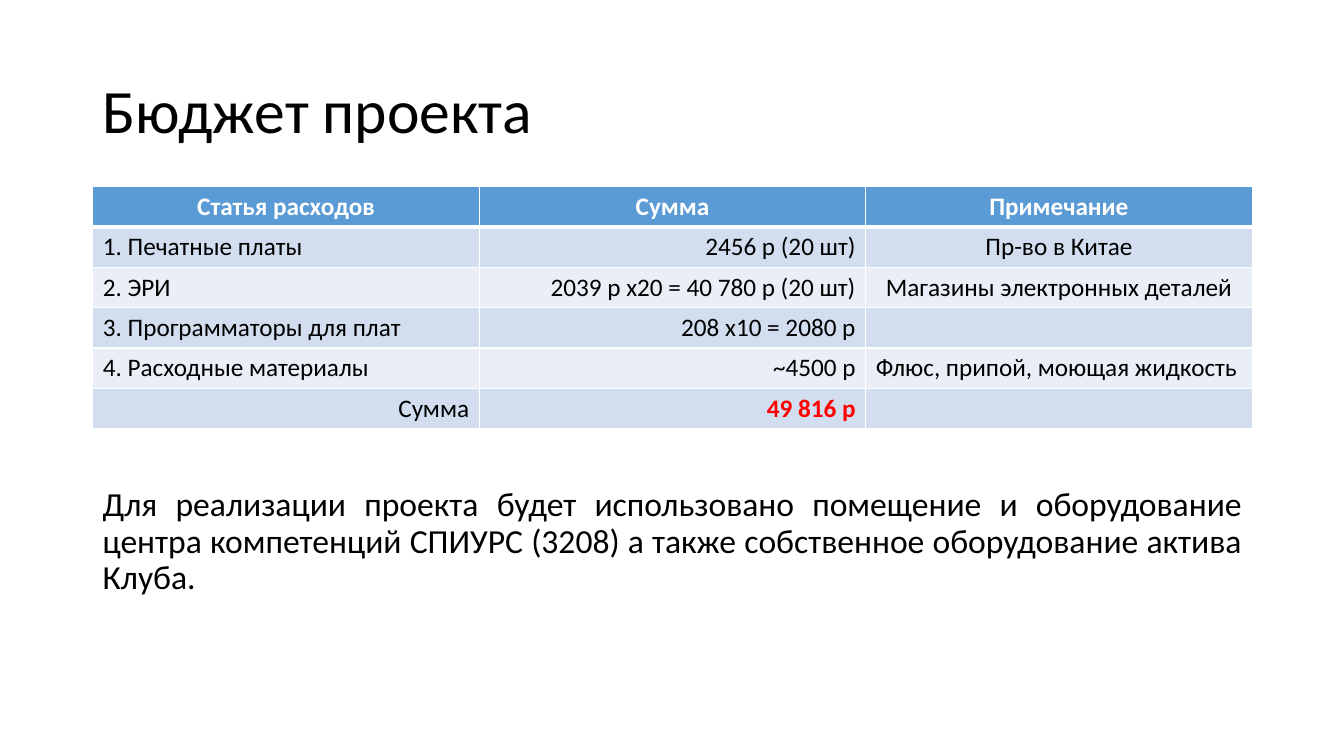
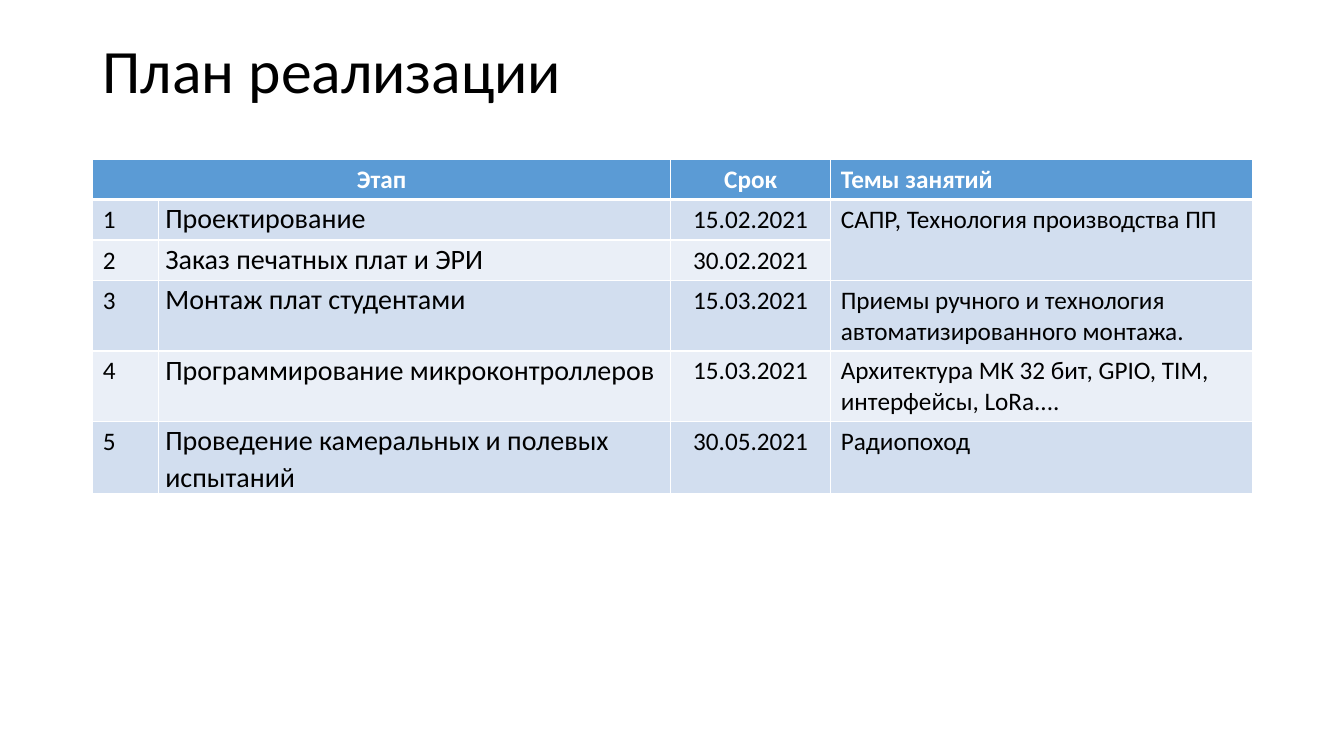
from dataclasses import dataclass

from lxml.etree import SubElement
from pptx import Presentation
from pptx.dml.color import RGBColor as RGB
from pptx.enum.text import MSO_ANCHOR as Anchor, PP_ALIGN as Align
from pptx.oxml.ns import qn
from pptx.util import Inches, Pt


@dataclass(frozen=True)
class Theme:
    font: str = "Calibri"
    title: int = 44
    body: int = 24
    step: int = 20
    cell: int = 18
    ink: str = "000000"
    white: str = "FFFFFF"
    head: str = "5B9BD5"
    bands: tuple = ("D2DEEF", "EAEFF7")
    alert: str = "FF0000"
    left: float = 0.92
    width: float = 11.5
    row: float = 0.4


class Deck:
    def __init__(self, theme):
        self.theme = theme
        self.prs = Presentation()
        self.prs.slide_width = Inches(13.33)
        self.prs.slide_height = Inches(7.5)
        self.slide = None

    def add(self, title, top):
        """Start a slide with its title."""
        self.slide = self.prs.slides.add_slide(self.prs.slide_layouts[6])
        self.text(title, top, 1.45, self.theme.title, anchor=Anchor.MIDDLE)

    def style(self, para, size, color, bold=False, align=Align.LEFT):
        para.alignment = align
        font = para.font
        font.name, font.size, font.bold = self.theme.font, Pt(size), bold
        font.color.rgb = RGB.from_string(color)

    def text(self, words, top, height, size, align=Align.LEFT,
             anchor=Anchor.TOP):
        look = self.theme
        box = self.slide.shapes.add_textbox(
            Inches(look.left), Inches(top), Inches(look.width), Inches(height))
        frame = box.text_frame
        frame.word_wrap = True
        frame.vertical_anchor = anchor
        para = frame.paragraphs[0]
        para.text = words
        para.line_spacing = 0.9
        self.style(para, size, look.ink, align=align)

    def edge(self, cell, row):
        """Draw white cell borders, thick between the header and the body."""
        props = cell._tc.get_or_add_tcPr()
        thick = {(0, "B"), (1, "T")}
        for side in "LRTB":
            wide = Pt(3 if (row, side) in thick else 1)
            line = SubElement(props, qn("a:ln" + side), w=str(wide))
            fill = SubElement(line, qn("a:solidFill"))
            SubElement(fill, qn("a:srgbClr"), val=self.theme.white)

    def table(self, rows, cols, aligns, top):
        look = self.theme
        frame = self.slide.shapes.add_table(
            len(rows), len(cols), Inches(look.left), Inches(top),
            Inches(look.width), Inches(look.row * len(rows)))
        table = frame.table
        table.first_row = table.horz_banding = False
        for col, wide in zip(table.columns, cols):
            col.width = Inches(wide)
        for r, row in enumerate(rows):
            table.rows[r].height = Inches(look.row)
            head = r == 0
            back = look.head if head else look.bands[(r - 1) % 2]
            for c, words in enumerate(row):
                cell = table.cell(r, c)
                self.edge(cell, r)
                cell.fill.solid()
                cell.fill.fore_color.rgb = RGB.from_string(back)
                cell.text = words
                self.style(cell.text_frame.paragraphs[0], look.cell,
                           look.white if head else look.ink, head,
                           Align.CENTER if head else aligns[c])
        return table


def para(table, row, col):
    return table.cell(row, col).text_frame.paragraphs[0]


def budget(deck):
    look = deck.theme
    deck.add("Бюджет проекта", 0.4)
    rows = [
        ("Статья расходов", "Сумма", "Примечание"),
        ("1. Печатные платы", "2456 р (20 шт)", "Пр-во в Китае"),
        ("2. ЭРИ", "2039 р х20 = 40 780 р (20 шт)",
         "Магазины электронных деталей"),
        ("3. Программаторы для плат", "208 х10 = 2080 р", ""),
        ("4. Расходные материалы", "~4500 р", "Флюс, припой, моющая жидкость"),
        ("Сумма", "49 816 р", ""),
    ]
    table = deck.table(rows, [look.width / 3] * 3,
                       (Align.LEFT, Align.RIGHT, Align.CENTER), 1.85)
    para(table, 4, 2).alignment = Align.LEFT
    para(table, 5, 0).alignment = Align.RIGHT
    deck.style(para(table, 5, 1), look.cell, look.alert, True, Align.RIGHT)
    deck.text("Для реализации проекта будет использовано помещение и "
              "оборудование центра компетенций СПИУРС (3208) а также "
              "собственное оборудование актива Клуба.",
              4.79, 1.3, look.body, Align.JUSTIFY)


def plan(deck):
    look = deck.theme
    deck.add("План реализации", 0)
    rows = [
        ("Этап", "", "Срок", "Темы занятий"),
        ("1", "Проектирование", "15.02.2021",
         "САПР, Технология производства ПП"),
        ("2", "Заказ печатных плат и ЭРИ", "30.02.2021", ""),
        ("3", "Монтаж плат студентами", "15.03.2021",
         "Приемы ручного и технология автоматизированного монтажа."),
        ("4", "Программирование микроконтроллеров", "15.03.2021",
         "Архитектура МК 32 бит, GPIO, TIM, интерфейсы, LoRa...."),
        ("5", "Проведение камеральных и полевых испытаний", "30.05.2021",
         "Радиопоход"),
    ]
    table = deck.table(rows, (0.65, 5.08, 1.59, 4.18),
                       (Align.LEFT, Align.LEFT, Align.CENTER, Align.LEFT), 1.58)
    para(table, 0, 3).alignment = Align.LEFT
    for r in range(1, len(rows)):
        cell = table.cell(r, 1)
        cell.margin_left = cell.margin_right = Inches(0.07)
        cell.margin_top = cell.margin_bottom = 0
        step = para(table, r, 1)
        step.line_spacing = 1.07
        step.font.size = Pt(look.step)
    table.cell(0, 0).merge(table.cell(0, 1))
    table.cell(1, 3).merge(table.cell(2, 3))


def main():
    deck = Deck(Theme())
    budget(deck)
    plan(deck)
    deck.prs.save("out.pptx")


if __name__ == "__main__":
    main()
